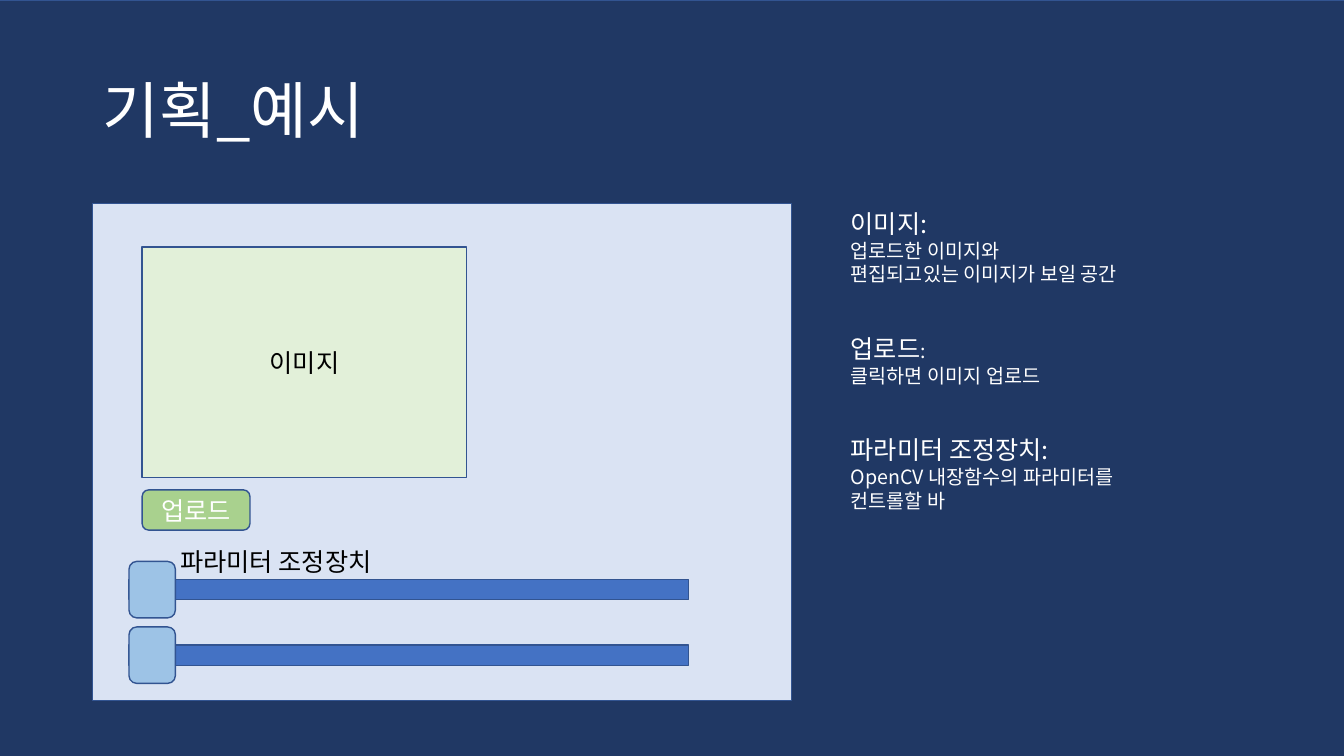
from dataclasses import dataclass

from lxml.etree import SubElement
from pptx import Presentation
from pptx.dml.color import RGBColor
from pptx.enum.shapes import MSO_SHAPE
from pptx.enum.text import MSO_ANCHOR, PP_ALIGN
from pptx.oxml.ns import qn
from pptx.util import Inches, Pt


@dataclass(frozen=True)
class Theme:
    font: str = "Noto Sans CJK KR"
    navy: str = "203864"
    outline: str = "325491"
    panel: str = "DAE3F3"
    image: str = "E2F0D9"
    upload: str = "A9D18E"
    track: str = "4472C4"
    handle: str = "9DC3E6"
    white: str = "FFFFFF"
    black: str = "000000"
    title: int = 44
    heading: int = 18
    body: int = 14
    section_gap: int = 34


THEME = Theme()

# Each heading is a list of (text, size) runs, followed by its description lines.
NOTES = [
    ([("이미지:", THEME.heading)],
     ["업로드한 이미지와", "편집되고있는 이미지가 보일 공간"]),
    ([("업로드", THEME.heading), (":", THEME.body)],
     ["클릭하면 이미지 업로드"]),
    ([("파라미터 조정장치:", THEME.heading)],
     ["OpenCV 내장함수의 파라미터를", "컨트롤할 바"]),
]


def add_run(p, text, size, color):
    r = p.add_run()
    r.text = text
    r.font.size = Pt(size)
    r.font.color.rgb = RGBColor.from_string(color)
    r.font.name = THEME.font
    SubElement(r.font._element, qn("a:ea"), typeface=THEME.font)


def add_box(slide, kind, box, fill, label=None, color=THEME.black):
    sp = slide.shapes.add_shape(kind, *map(Inches, box))
    sp.shadow.inherit = False
    sp.fill.solid()
    sp.fill.fore_color.rgb = RGBColor.from_string(fill)
    sp.line.color.rgb = RGBColor.from_string(THEME.outline)
    sp.line.width = Pt(1)
    if label:
        tf = sp.text_frame
        tf.vertical_anchor = MSO_ANCHOR.MIDDLE
        p = tf.paragraphs[0]
        p.alignment = PP_ALIGN.CENTER
        add_run(p, label, THEME.heading, color)


def add_text_frame(slide, box):
    tf = slide.shapes.add_textbox(*map(Inches, box)).text_frame
    tf.word_wrap = True
    return tf


def add_title(slide, text):
    tf = add_text_frame(slide, (0.92, 0.4, 11.5, 1.45))
    tf.vertical_anchor = MSO_ANCHOR.MIDDLE
    p = tf.paragraphs[0]
    p.line_spacing = 0.9
    add_run(p, text, THEME.title, THEME.white)


def add_slider(slide, top):
    add_box(slide, MSO_SHAPE.RECTANGLE, (1.28, top + 0.18, 5.55, 0.2), THEME.track)
    add_box(slide, MSO_SHAPE.ROUNDED_RECTANGLE, (1.28, top, 0.46, 0.56), THEME.handle)


def add_notes(slide, sections):
    tf = add_text_frame(slide, (8.34, 2.02, 3.53, 3.13))
    for i, (heading, lines) in enumerate(sections):
        p = tf.add_paragraph() if i else tf.paragraphs[0]
        if i:
            p.space_before = Pt(THEME.section_gap)
        for text, size in heading:
            add_run(p, text, size, THEME.white)
        for line in lines:
            add_run(tf.add_paragraph(), line, THEME.body, THEME.white)


def main():
    prs = Presentation()
    prs.slide_width, prs.slide_height = Inches(13.33), Inches(7.5)
    slide = prs.slides.add_slide(prs.slide_layouts[6])

    add_box(slide, MSO_SHAPE.RECTANGLE, (-0.14, 0, 13.94, 7.98), THEME.navy)
    add_title(slide, "기획_예시")
    add_box(slide, MSO_SHAPE.RECTANGLE, (0.92, 2.02, 6.93, 4.93), THEME.panel)
    add_box(slide, MSO_SHAPE.RECTANGLE, (1.41, 2.45, 3.22, 2.29), THEME.image, "이미지")
    for top in (5.57, 6.22):
        add_slider(slide, top)
    caption = add_text_frame(slide, (1.69, 5.37, 2.37, 0.4))
    add_run(caption.paragraphs[0], "파라미터 조정장치", THEME.heading, THEME.black)
    add_notes(slide, NOTES)
    add_box(slide, MSO_SHAPE.ROUNDED_RECTANGLE, (1.41, 4.86, 1.07, 0.4),
            THEME.upload, "업로드", THEME.white)

    prs.save("out.pptx")


if __name__ == "__main__":
    main()
